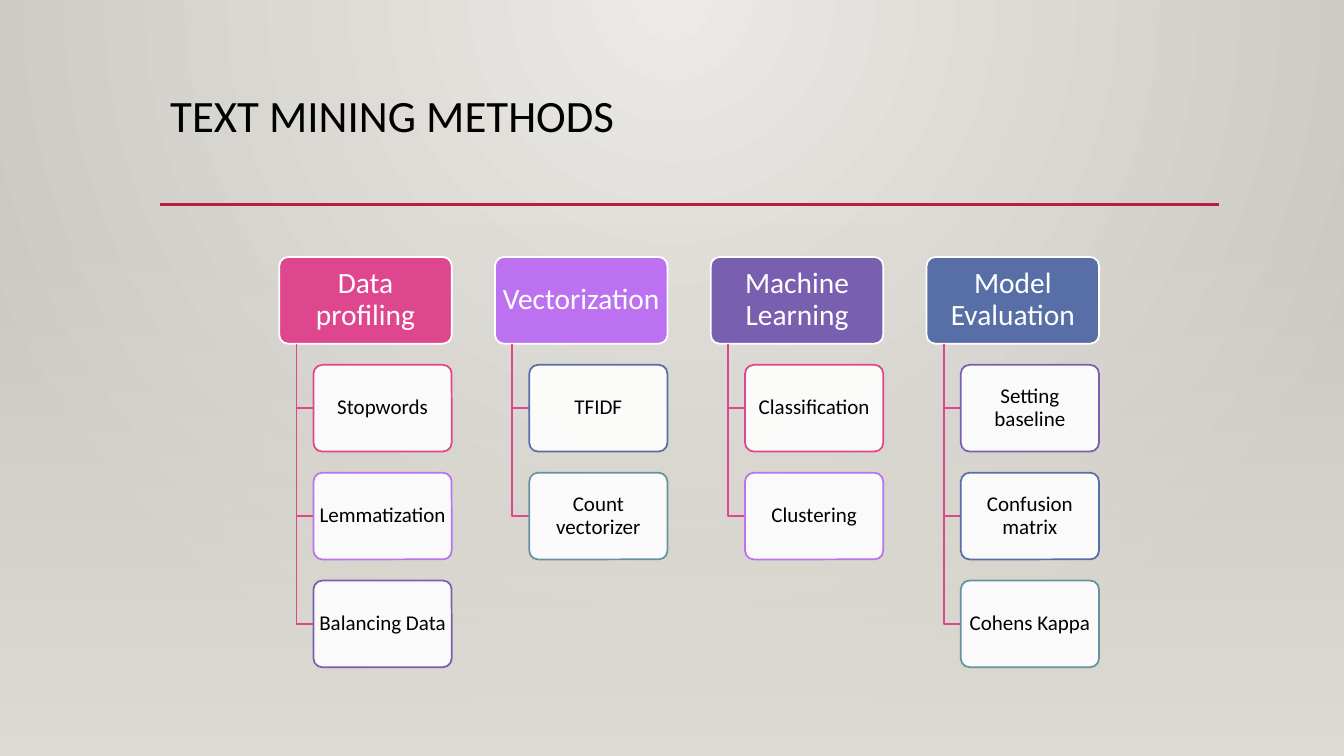
from pptx import Presentation
from pptx.dml.color import RGBColor
from pptx.enum.shapes import MSO_CONNECTOR, MSO_SHAPE
from pptx.enum.text import MSO_ANCHOR, PP_ALIGN
from pptx.oxml import parse_xml
from pptx.oxml.ns import nsdecls, qn
from pptx.util import Inches, Pt

ROUNDED = MSO_SHAPE.ROUNDED_RECTANGLE
RECTANGLE = MSO_SHAPE.RECTANGLE
STRAIGHT = MSO_CONNECTOR.STRAIGHT
MIDDLE = MSO_ANCHOR.MIDDLE
CENTER = PP_ALIGN.CENTER

BLACK = RGBColor(0x00, 0x00, 0x00)
WHITE = RGBColor(0xFF, 0xFF, 0xFF)
CRIMSON = RGBColor(0xB7, 0x1E, 0x42)
PINK = RGBColor(0xDE, 0x47, 0x8E)
ORCHID = RGBColor(0xBC, 0x72, 0xF0)
PURPLE = RGBColor(0x79, 0x5F, 0xAF)
BLUE = RGBColor(0x58, 0x6E, 0xA6)
TEAL = RGBColor(0x68, 0x92, 0xA0)
LIGHT_STONE = RGBColor(0xEC, 0xEA, 0xE7)
DARK_STONE = RGBColor(0xCA, 0xC7, 0xC1)
FLOOR = RGBColor(0xDF, 0xDB, 0xD5)

FONT = "Calibri"
SLIDE_WIDTH, SLIDE_HEIGHT = 13.33, 7.5

# Diagram measures in inches
COLUMN_PITCH, ROW_PITCH = 2.14, 1.07
HEADER_WIDTH, BOX_HEIGHT = 1.71, 0.86
INDENT = 0.17

METHODS = [
    ("Data profiling", PINK,
     [("Stopwords", PINK), ("Lemmatization", ORCHID), ("Balancing Data", PURPLE)]),
    ("Vectorization", ORCHID,
     [("TFIDF", BLUE), ("Count vectorizer", TEAL)]),
    ("Machine Learning", PURPLE,
     [("Classification", PINK), ("Clustering", ORCHID)]),
    ("Model Evaluation", BLUE,
     [("Setting baseline", PURPLE), ("Confusion matrix", BLUE), ("Cohens Kappa", TEAL)]),
]


def set_gradient(fill, element, start, end, direction, start_alpha=100):
    fill.gradient()
    gradient = element.find(".//" + qn("a:gradFill"))
    gradient.getparent().replace(gradient, parse_xml(
        f'<a:gradFill {nsdecls("a")} rotWithShape="1"><a:gsLst>'
        f'<a:gs pos="0"><a:srgbClr val="{start}">'
        f'<a:alpha val="{start_alpha * 1000}"/></a:srgbClr></a:gs>'
        f'<a:gs pos="100000"><a:srgbClr val="{end}"/></a:gs>'
        f'</a:gsLst>{direction}</a:gradFill>'))


def set_opacity(shape, percent):
    color = shape._element.spPr.find(qn("a:solidFill"))[0]
    color.append(parse_xml(f'<a:alpha {nsdecls("a")} val="{percent * 1000}"/>'))


def add_backdrop(slide, left, top, width, height):
    # Radial glow from the top centre
    set_gradient(slide.background.fill, slide._element, LIGHT_STONE, DARK_STONE,
                 '<a:path path="circle"><a:fillToRect l="43000" r="43000" b="100000"/></a:path>')
    # Floor that fades in downwards
    floor = slide.shapes.add_shape(RECTANGLE, Inches(left), Inches(top),
                                   Inches(width), Inches(height))
    floor.shadow.inherit = False
    floor.line.fill.background()
    set_gradient(floor.fill, floor._element, FLOOR, FLOOR,
                 '<a:lin ang="5400000" scaled="0"/>', start_alpha=0)


def add_title(slide, text, left, top, width, height):
    box = slide.shapes.add_textbox(Inches(left), Inches(top), Inches(width), Inches(height))
    box.text_frame.word_wrap = True
    paragraph = box.text_frame.paragraphs[0]
    paragraph.text = text
    paragraph.line_spacing = 0.9
    paragraph.font.name = FONT
    paragraph.font.size = Pt(32)
    paragraph.font.color.rgb = BLACK
    # Rule along the bottom edge
    bottom = Inches(top + height)
    rule = slide.shapes.add_connector(STRAIGHT, Inches(left), bottom,
                                      Inches(left + width), bottom)
    rule.line.color.rgb = CRIMSON
    rule.line.width = Pt(2.5)
    rule._element.spPr.append(parse_xml(f'<a:effectLst {nsdecls("a")}/>'))


def add_box(slide, text, left, top, width, fill, outline, text_color, size, insets):
    box = slide.shapes.add_shape(ROUNDED, Inches(left), Inches(top),
                                 Inches(width), Inches(BOX_HEIGHT))
    box.adjustments[0] = 0.1
    box.shadow.inherit = False
    box.fill.solid()
    box.fill.fore_color.rgb = fill
    box.line.color.rgb = outline
    box.line.width = Pt(1.25)
    frame = box.text_frame
    frame.word_wrap = True
    frame.vertical_anchor = MIDDLE
    frame.margin_left = frame.margin_right = Inches(insets[0])
    frame.margin_top = frame.margin_bottom = Inches(insets[1])
    paragraph = frame.paragraphs[0]
    paragraph.text = text
    paragraph.alignment = CENTER
    paragraph.line_spacing = 0.9
    paragraph.font.name = FONT
    paragraph.font.size = Pt(size)
    paragraph.font.color.rgb = text_color
    return box


def add_branch(slide, left, top, bottom):
    builder = slide.shapes.build_freeform(Inches(left), Inches(top))
    builder.add_line_segments([(Inches(left), Inches(bottom)),
                               (Inches(left + INDENT), Inches(bottom))], close=False)
    branch = builder.convert_to_shape()
    branch.shadow.inherit = False
    branch.fill.background()
    branch.line.color.rgb = PINK
    branch.line.width = Pt(1.25)


def add_method_column(slide, heading, color, steps, left, top):
    add_box(slide, heading, left, top, HEADER_WIDTH, color, WHITE, WHITE, 21, (0.04, 0.03))
    for row, (step, outline) in enumerate(steps, start=1):
        step_top = top + row * ROW_PITCH
        add_branch(slide, left + INDENT, top + BOX_HEIGHT, step_top + BOX_HEIGHT / 2)
        card = add_box(slide, step, left + 2 * INDENT, step_top, HEADER_WIDTH - 2 * INDENT,
                       WHITE, outline, BLACK, 15, (0.03, 0.02))
        set_opacity(card, 90)


def add_methods_diagram(slide, left, top):
    for column, (heading, color, steps) in enumerate(METHODS):
        add_method_column(slide, heading, color, steps, left + column * COLUMN_PITCH, top)


def main():
    presentation = Presentation()
    presentation.slide_width = Inches(SLIDE_WIDTH)
    presentation.slide_height = Inches(SLIDE_HEIGHT)
    slide = presentation.slides.add_slide(presentation.slide_layouts[6])
    add_backdrop(slide, 0, 2.21, SLIDE_WIDTH, 5.29)
    add_title(slide, "TEXT MINING METHODS", 1.59, 0.88, 10.5, 1.15)
    add_methods_diagram(slide, 2.77, 2.55)
    presentation.save("out.pptx")


if __name__ == "__main__":
    main()
